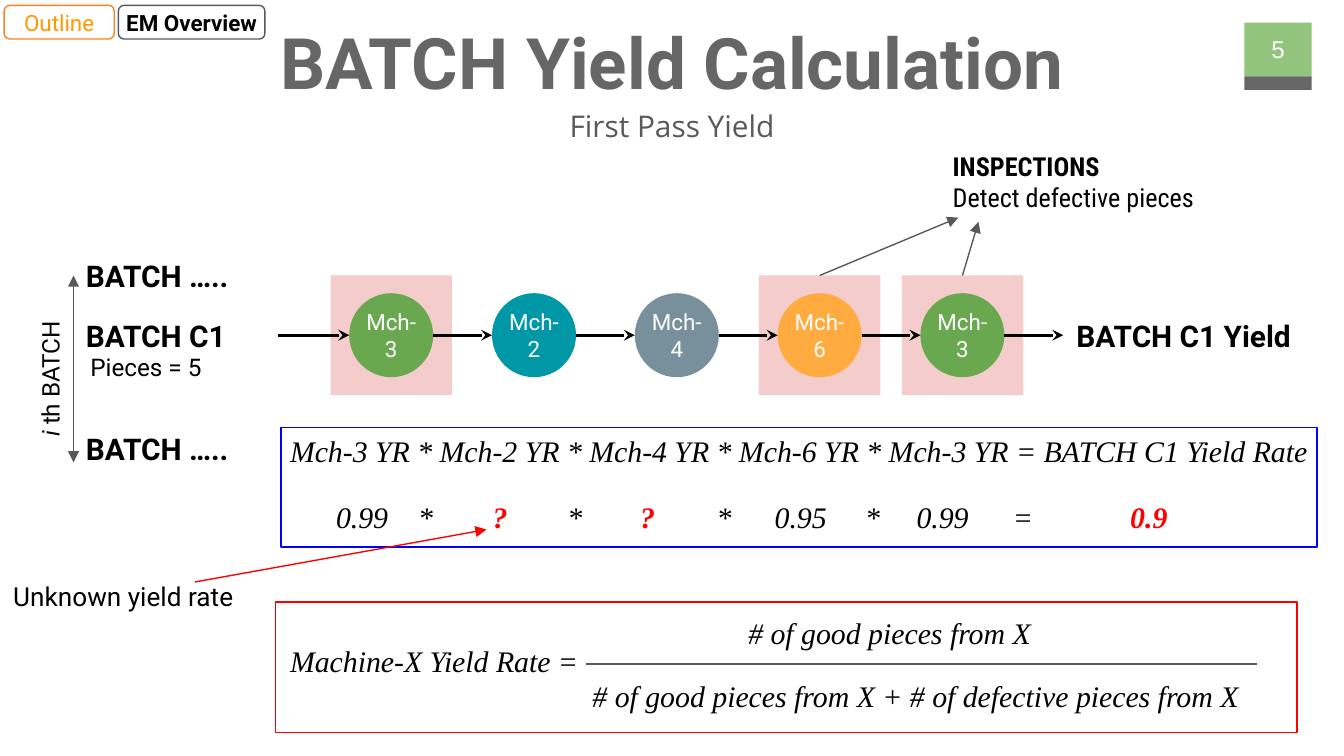
from lxml import etree
from pptx import Presentation
from pptx import util as u
from pptx.dml import color as colors
from pptx.enum import shapes, text
from pptx.oxml import ns

Pt = u.Pt
SERIF = "Times New Roman"
CENTER = text.PP_ALIGN.CENTER


def rgb(value):
    """Turn a hex string into a colour."""
    return colors.RGBColor.from_string(value)


def style(font, size, name="Roboto", color="000000", bold=False, italic=False):
    """Set the look of a font."""
    font.size, font.name, font.bold, font.italic = Pt(size), name, bold, italic
    font.color.rgb = rgb(color)


def write(shape, words, size, align=None, middle=False, inset=(7.2, 7.2), **look):
    """Fill a shape with paragraphs in one style."""
    frame = shape.text_frame
    frame.word_wrap = True
    frame.auto_size = text.MSO_AUTO_SIZE.NONE
    frame.margin_left = frame.margin_right = Pt(inset[0])
    frame.margin_top = frame.margin_bottom = Pt(inset[1])
    anchor = text.MSO_ANCHOR
    frame.vertical_anchor = anchor.MIDDLE if middle else anchor.TOP
    frame.text = words
    for para in frame.paragraphs:
        para.alignment = align
        for span in para.runs:
            style(span.font, size, **look)


def add_label(page, box, words, size, **options):
    """Add a text box and return it."""
    label = page.shapes.add_textbox(*map(Pt, box))
    write(label, words, size, **options)
    return label


def add_block(page, box, fill=None, line=None, kind=shapes.MSO_SHAPE.RECTANGLE):
    """Add a preset shape with an optional fill and outline."""
    block = page.shapes.add_shape(kind, *map(Pt, box))
    block.shadow.inherit = False
    if fill:
        block.fill.solid()
        block.fill.fore_color.rgb = rgb(fill)
    else:
        block.fill.background()
    if line:
        block.line.color.rgb = rgb(line)
        block.line.width = Pt(0.75)
    else:
        block.line.fill.background()
    return block


def add_line(page, start, end, color="595959", width=0.75, head=None, tail=None):
    """Add a straight line with optional arrowheads."""
    line = page.shapes.add_connector(
        shapes.MSO_CONNECTOR.STRAIGHT, *map(Pt, (*start, *end)))
    line.line.color.rgb = rgb(color)
    line.line.width = Pt(width)
    for tag, kind in (("a:headEnd", head), ("a:tailEnd", tail)):
        if kind:
            etree.SubElement(line.line._get_or_add_ln(), ns.qn(tag), type=kind)
    etree.SubElement(line._element.spPr, ns.qn("a:effectLst"))


def place_placeholder(shape, box):
    """Move a placeholder to a box."""
    shape.left, shape.top, shape.width, shape.height = map(Pt, box)


def build_heading(page, box):
    """Place the title and the subtitle."""
    left, top, width, height = box
    title, subtitle = page.shapes.title, page.placeholders[1]
    place_placeholder(title, (left, top, width, 45.4))
    write(title, "BATCH Yield Calculation", 38, align=CENTER, color="666666", bold=True)
    place_placeholder(subtitle, (left + 152.6, top + 44.6, width - 305.2, height - 44.6))
    write(subtitle, "First Pass Yield", 16, align=CENTER, name="Open Sans", color="595959")
    para = subtitle.text_frame.paragraphs[0]
    para.line_spacing, para.space_before, para.space_after = 1.15, Pt(0), Pt(16)


def build_page_number(page, box):
    """Place the number on its two-tone badge."""
    left, top, width, height = box
    add_block(page, (left, top, width, height - 7.2), fill="93C47D")
    add_block(page, (left, top + height - 7.2, width, 7.2), fill="666666")
    add_label(page, (left - 3.6, top - 1.4, width + 7.2, 31), "5", 13,
              align=CENTER, middle=True, name="Arial", color="FFFFFF")


def build_tabs(page, box):
    """Place the two navigation tabs."""
    left, top, width, height = box
    tabs = (("Outline", 0, 59, "FE8222", "FF9900", False),
            ("EM Overview", 61.2, width - 61.2, "595959", "000000", True))
    for words, offset, span, line, color, bold in tabs:
        tab = add_block(page, (left + offset, top, span, height), line=line,
                        kind=shapes.MSO_SHAPE.ROUNDED_RECTANGLE)
        write(tab, words, 12, align=CENTER, middle=True, inset=(0, 7.2),
              color=color, bold=bold)


def build_batches(page, box):
    """Place the list of batches beside its vertical arrow."""
    left, top, width, height = box
    for words, offset in (("BATCH …..", 0), ("BATCH C1", 31.7), ("BATCH …..", 92.2)):
        add_label(page, (left, top + offset, width, 33.8), words, 16, middle=True, bold=True)
    add_label(page, (left, top + 57.6, 78.5, 22.3), "Pieces = 5", 13, align=CENTER, inset=(0, 0))
    add_line(page, (left + 0.5, top + 16.6), (left + 0.5, top + height - 9.3),
             head="triangle", tail="triangle")
    side = add_label(page, (left - 52, top + 57.6, 78.5, 28.8), "i th BATCH", 13, align=CENTER)
    side.rotation = 270
    para = side.text_frame.paragraphs[0]
    para.text = "i "
    para.add_run().text = "th BATCH"
    for span, italic in zip(para.runs, (True, False)):
        style(span.font, 13, italic=italic)


def build_flow(page, box):
    """Place the machines, their inspections and the arrows between them."""
    left, top, width, height = box
    size, pitch, first = 45, 76.5, left + 38
    center = top + height / 2
    machines = (("Mch-3", "6AA84F", True), ("Mch-2", "0097A7", False),
                ("Mch-4", "78909C", False), ("Mch-6", "FFAB40", True),
                ("Mch-3", "6AA84F", True))
    start = left
    for index, (name, color, inspected) in enumerate(machines):
        x = first + index * pitch
        if inspected:
            add_block(page, (x - 10, top, size + 20, height), fill="F4CCCC")
        circle = add_block(page, (x, center - size / 2, size, size), fill=color,
                           kind=shapes.MSO_SHAPE.OVAL)
        write(circle, name, 12, align=CENTER, middle=True, inset=(0, 0), color="FFFFFF")
        add_line(page, (start, center), (x, center), "000000", 1.5, tail="stealth")
        start = x + size
    end = left + width
    add_line(page, (start, center), (end, center), "000000", 1.5, tail="stealth")
    add_label(page, (end, center - 16.6, 135.4, 33.8), "BATCH C1 Yield", 16,
              middle=True, bold=True)
    note = add_label(page, (end - 66.3, top - 74.2, 145.4, 48.2),
                     "INSPECTIONS\nDetect defective pieces", 14, name="Roboto Condensed")
    note.text_frame.paragraphs[0].runs[0].font.bold = True
    for index, tip in ((3, (513.4, 116.6)), (4, (524.2, 118.8))):
        add_line(page, (first + index * pitch + size / 2, top), tip, tail="triangle")


def build_product(page, box):
    """Place the product of yield rates with its values and the callout."""
    left, top, width, height = box
    add_block(page, box, line="0000FF")
    add_label(page, (left - 2.2, top - 4.3, width + 9.4, 33.8),
              "Mch-3 YR * Mch-2 YR * Mch-4 YR * Mch-6 YR * Mch-3 YR = BATCH C1 Yield Rate",
              16, name=SERIF, italic=True)
    row = add_label(page, (left + 14.4, top + 31, 512, 33.8), "", 16)
    para = row.text_frame.paragraphs[0]
    stops = etree.SubElement(para._p.get_or_add_pPr(), ns.qn("a:tabLst"))
    values = (("0.99", 22), ("*", 56), ("?", 96), ("*", 136), ("?", 175), ("*", 216),
              ("0.95", 257), ("*", 295.5), ("0.99", 333), ("=", 376), ("0.9", 443.5))
    for value, place in values:
        etree.SubElement(stops, ns.qn("a:tab"), pos=str(int(Pt(place))), algn="ctr")
        span = para.add_run()
        span.text = "\t" + value
        marked = value in ("?", "0.9")
        style(span.font, 16, SERIF, "FF0000" if marked else "000000", marked, True)
    add_label(page, (0, top + 74.9, 135.4, 31.7), "Unknown yield rate", 14)
    add_line(page, (104.4, top + 82.8), (260.6, top + 54.7), "FF0000", tail="triangle")


def build_definition(page, box):
    """Place the yield rate formula as a fraction in its frame."""
    left, top, width, height = box
    add_block(page, box, line="FF0000")
    parts = (("Machine-X Yield Rate =", 0.7, 14.4, 175.7),
             ("# of good pieces from X", 246.2, -0.7, 171.4),
             ("# of good pieces from X + # of defective pieces from X", 162.7, 33.1, 382.3))
    for words, x, y, span in parts:
        add_label(page, (left + x, top + y, span, 33.8), words, 16, name=SERIF, italic=True)
    add_line(page, (left + 166.3, top + 33.1), (left + width - 21.6, top + 33.1))


def main():
    """Build the slide and save it."""
    deck = Presentation()
    deck.slide_width, deck.slide_height = Pt(720), Pt(405)
    page = deck.slides.add_slide(deck.slide_layouts[0])
    build_page_number(page, (666.7, 12.2, 36, 36))
    build_heading(page, (24.5, 2.9, 671, 64))
    build_batches(page, (38.9, 131, 109.4, 126))
    build_flow(page, (149.1, 147.6, 420.5, 64))
    build_definition(page, (147.6, 322.6, 547.2, 69.8))
    build_product(page, (150.5, 229, 555.1, 64))
    build_tabs(page, (2.2, 2.9, 139.7, 18))
    deck.save("out.pptx")


if __name__ == "__main__":
    main()
